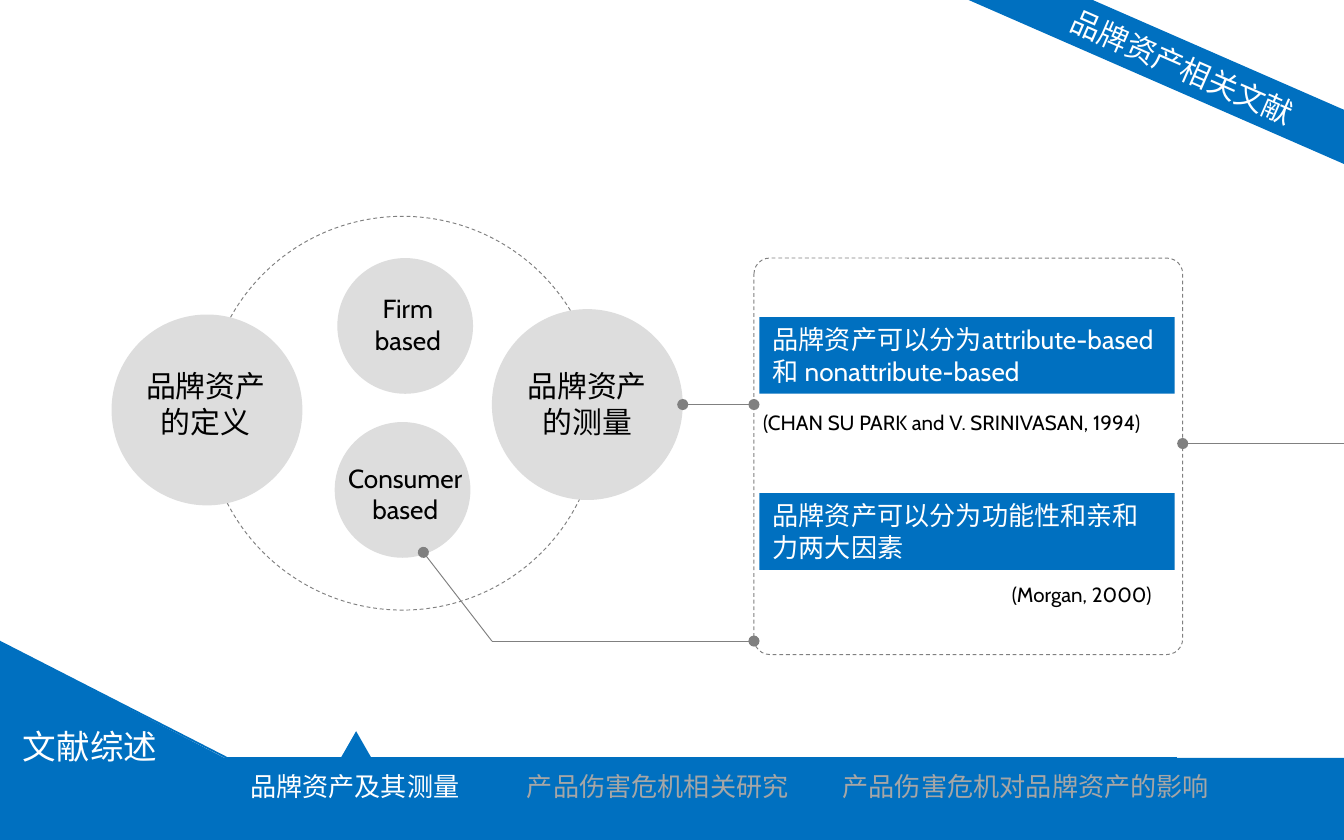
from lxml.etree import SubElement
from pptx import Presentation
from pptx.dml.color import RGBColor
from pptx.enum.dml import MSO_LINE
from pptx.enum.shapes import MSO_CONNECTOR, MSO_SHAPE
from pptx.enum.text import MSO_ANCHOR, MSO_AUTO_SIZE, PP_ALIGN
from pptx.oxml.ns import qn
from pptx.util import Inches, Pt

BLUE = RGBColor(0x00, 0x70, 0xC0)
WHITE = RGBColor(0xFF, 0xFF, 0xFF)
BLACK = RGBColor(0x00, 0x00, 0x00)
SILVER = RGBColor(0xA6, 0xA6, 0xA6)
PALE = RGBColor(0xDD, 0xDD, 0xDD)
GREY = RGBColor(0x80, 0x80, 0x80)
LATIN, CJK = "Cabin", "Noto Sans CJK SC"

prs = Presentation()
prs.slide_width, prs.slide_height = Inches(10), Inches(6.25)
s = prs.slides.add_slide(prs.slide_layouts[5])


def add_shape(kind, x, y, w, h, fill=None):
    """Add a borderless filled shape, or a dashed outline when fill is None."""
    sp = s.shapes.add_shape(kind, Inches(x), Inches(y), Inches(w), Inches(h))
    sp.shadow.inherit = False
    if fill is None:
        sp.fill.background()
        sp.line.color.rgb = GREY
        sp.line.width = Pt(0.5)
        sp.line.dash_style = MSO_LINE.DASH
    else:
        sp.fill.solid()
        sp.fill.fore_color.rgb = fill
        sp.line.fill.background()
    return sp


def set_text(sp, text, size, color, align=PP_ALIGN.CENTER, font=LATIN, wrap=True,
             anchor=MSO_ANCHOR.TOP):
    tf = sp.text_frame
    tf.text = text
    tf.word_wrap = wrap
    tf.auto_size = MSO_AUTO_SIZE.NONE
    tf.vertical_anchor = anchor
    for p in tf.paragraphs:
        p.alignment = align
        for r in p.runs:
            r.font.size = Pt(size)
            r.font.color.rgb = color
            r.font.name = font
            SubElement(r.font._element, qn("a:ea"), typeface=CJK)


# Footer with the section title and navigation
add_shape(MSO_SHAPE.RECTANGLE, -0.03, 5.64, 10.04, 0.87, BLUE)
corner = add_shape(MSO_SHAPE.ISOSCELES_TRIANGLE, -0.01, 4.77, 1.72, 0.89, BLUE)
corner.adjustments[0] = 0
add_shape(MSO_SHAPE.ISOSCELES_TRIANGLE, 2.53, 5.44, 0.24, 0.21, BLUE)

title = s.shapes.title
title.left, title.top = Inches(0.04), Inches(5.35)
title.width, title.height = Inches(1.26), Inches(0.4)
set_text(title, "文献综述", 18, WHITE)
s.shapes.element.append(title.element)  # in front of the footer

for text, x, w, color in [
    ("品牌资产及其测量", 1.5, 2.28, WHITE),
    ("产品伤害危机相关研究", 3.74, 2.31, SILVER),
    ("产品伤害危机对品牌资产的影响", 6.02, 3.23, SILVER),
]:
    nav = s.shapes.add_textbox(Inches(x), Inches(5.68), Inches(w), Inches(0.34))
    set_text(nav, text, 14, color)

# Corner ribbon
ribbon = add_shape(MSO_SHAPE.RECTANGLE, 7.07, 0.31, 3.46, 0.37, BLUE)
ribbon.rotation = 23.6
set_text(ribbon, "品牌资产相关文献", 16, WHITE, font=CJK, anchor=MSO_ANCHOR.MIDDLE)

# Concept circles on the dashed ring
add_shape(MSO_SHAPE.OVAL, 1.53, 1.61, 2.93, 2.93)
for text, x, y, d, size, tx, ty, tw, th in [
    ("品牌资产\n的定义", 0.83, 2.34, 1.42, 16, 0.99, 2.69, 1.08, 0.64),
    ("品牌资产\n的测量", 3.66, 2.3, 1.42, 16, 3.83, 2.69, 1.08, 0.64),
    ("Firm\nbased", 2.51, 1.92, 1.01, 14, 2.66, 2.13, 0.75, 0.57),
    ("Consumer\nbased", 2.49, 3.14, 1.01, 14, 2.44, 3.39, 1.15, 0.57),
]:
    add_shape(MSO_SHAPE.OVAL, x, y, d, d, PALE)
    label = s.shapes.add_textbox(Inches(tx), Inches(ty), Inches(tw), Inches(th))
    set_text(label, text, size, BLACK, wrap=False)

# Findings panel
panel = add_shape(MSO_SHAPE.ROUNDED_RECTANGLE, 5.61, 1.92, 3.19, 2.95)
panel.adjustments[0] = 0.04
for finding, y, cite, cx, cy, cw in [
    ("品牌资产可以分为attribute-based和 nonattribute-based", 2.36,
     "(CHAN SU PARK and V. SRINIVASAN, 1994)", 5.58, 3, 3.22),
    ("品牌资产可以分为功能性和亲和力两大因素", 3.67,
     "(Morgan, 2000)", 7.43, 4.28, 1.29),
]:
    bar = add_shape(MSO_SHAPE.RECTANGLE, 5.65, y, 3.09, 0.57, BLUE)
    set_text(bar, finding, 14, WHITE, PP_ALIGN.LEFT)
    source = s.shapes.add_textbox(Inches(cx), Inches(cy), Inches(cw), Inches(0.29))
    set_text(source, cite, 11, BLACK, PP_ALIGN.LEFT, wrap=False)

# Lines: footer edges, then the dotted-end links
for x1, y1, x2, y2, color, width, ends in [
    (-0.03, 4.76, 1.69, 5.64, BLUE, 1, []),
    (1.68, 5.64, 8.76, 5.64, BLUE, 1, []),
    (3.66, 4.77, 5.61, 4.77, GREY, 0.5, ["tailEnd"]),
    (3.15, 4.11, 3.66, 4.77, GREY, 0.5, ["headEnd"]),
    (5.08, 3.01, 5.61, 3.01, GREY, 0.5, ["headEnd", "tailEnd"]),
    (8.8, 3.3, 10.12, 3.3, GREY, 0.5, ["headEnd"]),
]:
    link = s.shapes.add_connector(MSO_CONNECTOR.STRAIGHT, Inches(x1), Inches(y1),
                                  Inches(x2), Inches(y2))
    link.line.color.rgb = color
    link.line.width = Pt(width)
    spPr = link.element.find(qn("p:spPr"))
    for end in ends:
        SubElement(spPr.find(qn("a:ln")), qn(f"a:{end}"), type="oval")
    SubElement(spPr, qn("a:effectLst"))

prs.save("out.pptx")
